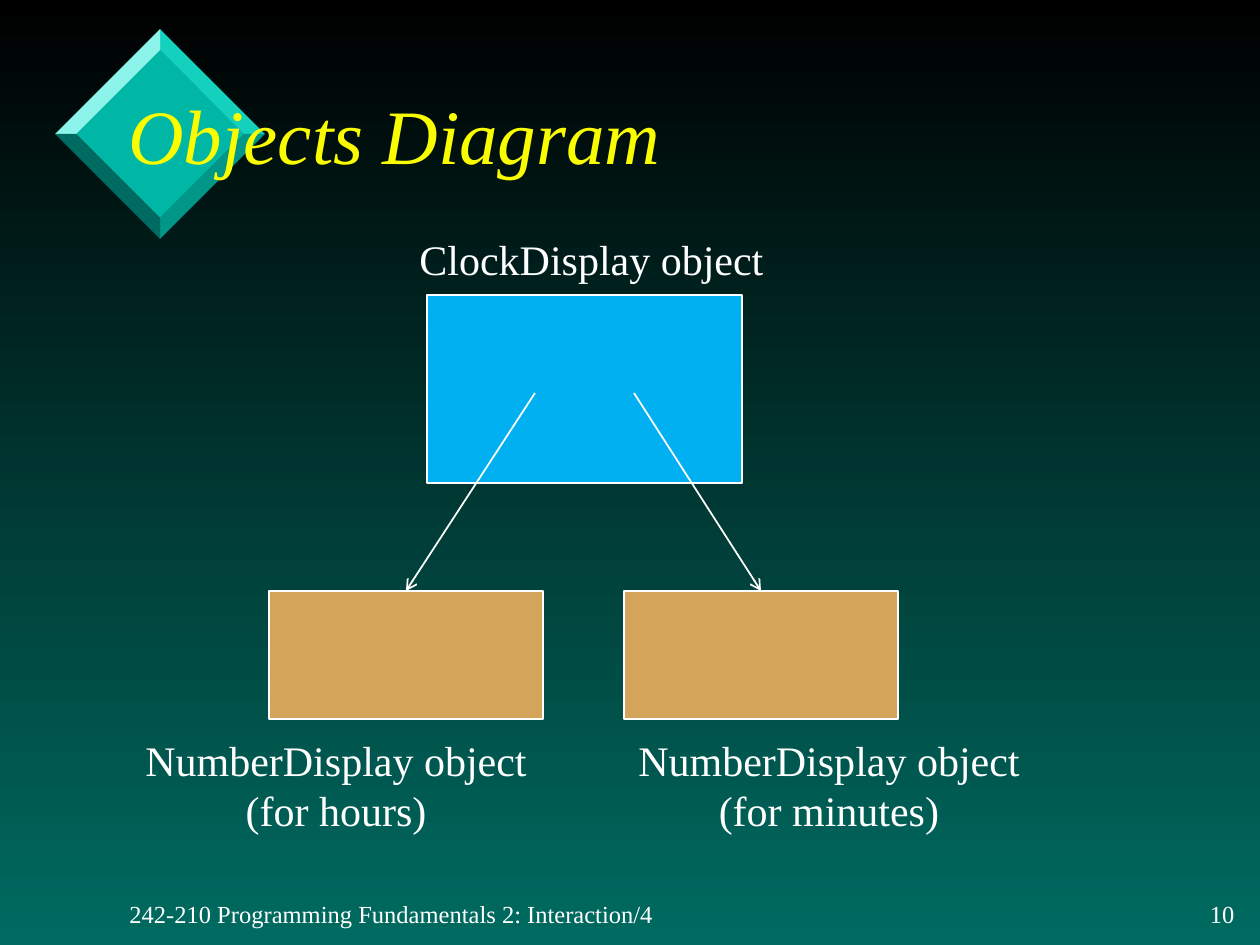
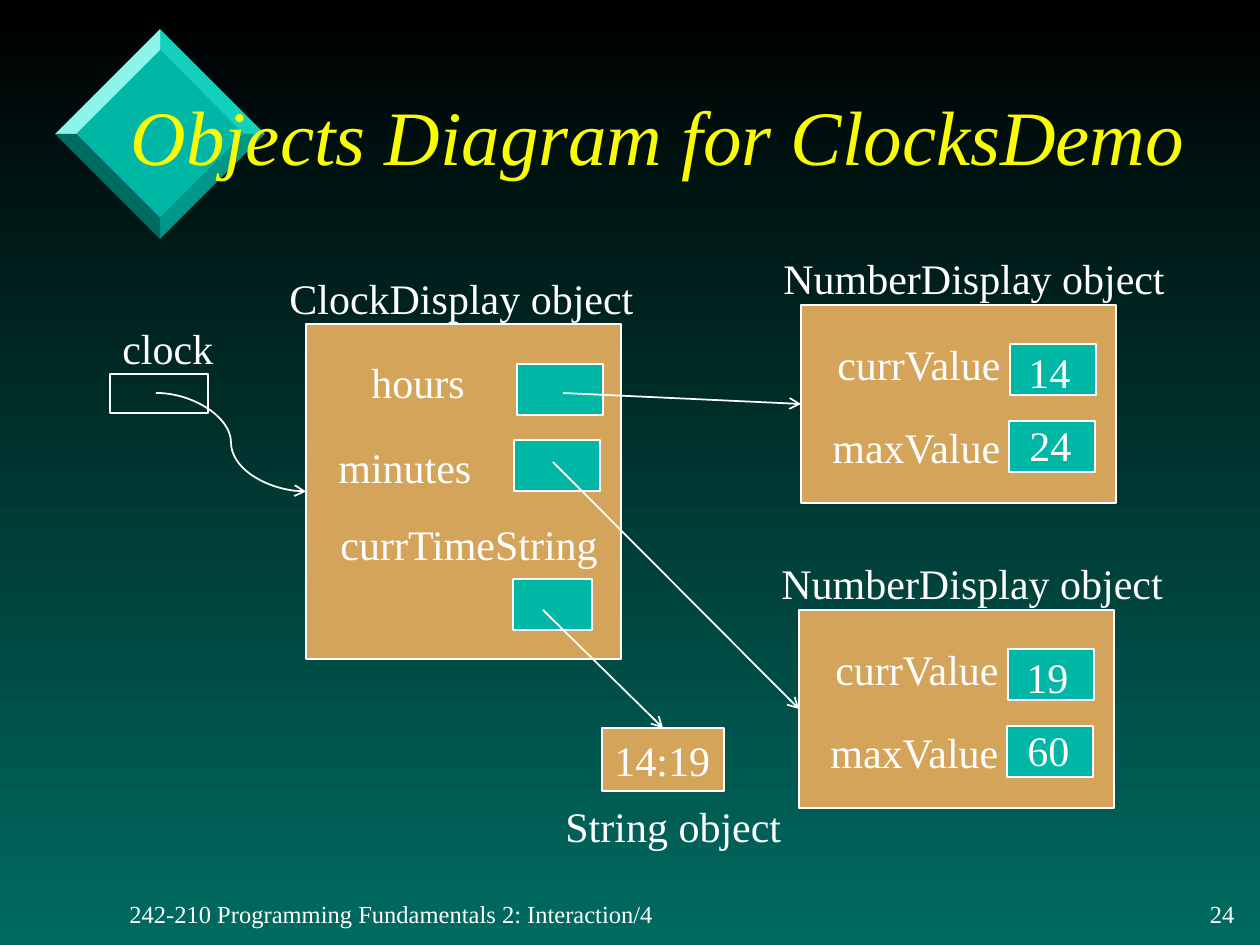
"""Build two object-diagram slides that share a gradient, a diamond emblem and a footer."""
from lxml.etree import SubElement
from pptx import Presentation
from pptx.dml.color import RGBColor
from pptx.enum.shapes import MSO_CONNECTOR as Link, MSO_SHAPE as Preset
from pptx.enum.text import MSO_ANCHOR as Anchor, MSO_AUTO_SIZE as Fit, PP_ALIGN as Align
from pptx.oxml.ns import qn
from pptx.util import Pt

PX = 914400 / 126
FONT = "Times New Roman"
WHITE, YELLOW, BLACK, DEEP = "FFFFFF", "FAFD00", "000000", "006B61"
BLUE, TAN, TEAL = "00B0F0", "D4A45A", "00B7A5"
FOOTER = "242-210 Programming Fundamentals 2: Interaction/4"
LINE_HEIGHT = 63
TOP, LEFT = 0, 1

CENTRE_X, CENTRE_Y, INNER, OUTER = 160, 134, 84, 105
BEVELS = [(1, -1, "14D1BE"), (-1, -1, "8CF4EA"), (1, 1, "009688"), (-1, 1, DEEP)]


def number_display(name, x, y, current, maximum):
    """Return the boxes and labels of one NumberDisplay object placed at x, y."""
    boxes = {
        name: (x, y, 315, 198, TAN),
        name + " current": (x + 209, y + 39, 86, 51, TEAL),
        name + " maximum": (x + 208, y + 116, 86, 51, TEAL),
    }
    labels = [
        (x - 30, y - 59, 410, ["NumberDisplay object"]),
        (x + 24, y + 27, 190, ["currValue"]),
        (x + 19, y + 110, 195, ["maxValue"]),
        (x + 215, y + 35, 68, [current]),
        (x + 216, y + 108, 68, [maximum]),
    ]
    return boxes, labels


hour_boxes, hour_labels = number_display("hour display", 801, 305, "14", "24")
minute_boxes, minute_labels = number_display("minute display", 799, 610, "19", "60")

SLIDES = [
    {
        "title": ("Objects Diagram", 116, 58, 1072),
        "number": "10",
        "boxes": {
            "clock": (427, 295, 315, 188, BLUE),
            "hours": (269, 591, 274, 128, TAN),
            "minutes": (624, 591, 274, 128, TAN),
        },
        "labels": [
            (407, 227, 372, ["ClockDisplay object"]),
            (131, 728, 410, ["NumberDisplay object", "(for hours)"]),
            (624, 728, 410, ["NumberDisplay object", "(for minutes)"]),
        ],
        "arrows": [
            (535, 393, "hours", TOP, Link.STRAIGHT),
            (634, 393, "minutes", TOP, Link.STRAIGHT),
        ],
    },
    {
        "title": ("Objects Diagram for ClocksDemo", 118, 59, 1102),
        "number": "24",
        "boxes": {
            "clock variable": (110, 374, 98, 39, None),
            "clock": (306, 324, 315, 335, TAN),
            "hours": (517, 364, 86, 51, TEAL),
            "minutes": (514, 440, 86, 51, TEAL),
            "time string": (513, 579, 79, 51, TEAL),
            "string": (602, 728, 122, 63, TAN, "14:19"),
            **hour_boxes,
            **minute_boxes,
        },
        "labels": [
            (110, 316, 117, ["clock"]),
            (277, 266, 372, ["ClockDisplay object"]),
            (359, 350, 120, ["hours"]),
            (326, 435, 159, ["minutes"]),
            (328, 512, 295, ["currTimeString"]),
            (553, 794, 243, ["String object"]),
            *hour_labels,
            *minute_labels,
        ],
        "arrows": [
            (156, 393, "clock", LEFT, Link.CURVE),
            (563, 393, "hour display", LEFT, Link.STRAIGHT),
            (553, 462, "minute display", LEFT, Link.STRAIGHT),
            (543, 610, "string", TOP, Link.STRAIGHT),
        ],
    },
]


def emu(*lengths):
    return [round(length * PX) for length in lengths]


def paint(fill, colour):
    fill.solid()
    fill.fore_color.rgb = RGBColor.from_string(colour)


def write(frame, lines, size=24, colour=WHITE, align=Align.LEFT, italic=False):
    for index, line in enumerate(lines):
        paragraph = frame.add_paragraph() if index else frame.paragraphs[0]
        paragraph.alignment = align
        run = paragraph.add_run()
        run.text = line
        run.font.name = FONT
        run.font.size = Pt(size)
        run.font.italic = italic
        run.font.color.rgb = RGBColor.from_string(colour)


def add_text(slide, area, lines, anchor=Anchor.TOP, wrap=False, **style):
    frame = slide.shapes.add_textbox(*emu(*area)).text_frame
    frame.word_wrap = wrap
    frame.auto_size = Fit.NONE if wrap else Fit.SHAPE_TO_FIT_TEXT
    frame.vertical_anchor = anchor
    write(frame, lines, **style)


def add_facet(slide, offsets, colour):
    points = [(CENTRE_X + dx, CENTRE_Y + dy) for dx, dy in offsets]
    builder = slide.shapes.build_freeform(*points[0], scale=PX)
    builder.add_line_segments(points[1:], close=True)
    facet = builder.convert_to_shape()
    facet.shadow.inherit = False
    paint(facet.fill, colour)
    facet.line.fill.background()


def add_emblem(slide):
    add_facet(slide, [(0, -INNER), (-INNER, 0), (0, INNER), (INNER, 0)], TEAL)
    for across, down, colour in BEVELS:
        add_facet(slide, [(0, down * INNER), (0, down * OUTER),
                          (across * OUTER, 0), (across * INNER, 0)], colour)


def add_box(slide, x, y, width, height, colour, text=None):
    box = slide.shapes.add_shape(Preset.RECTANGLE, *emu(x, y, width, height))
    box.shadow.inherit = False
    if colour:
        paint(box.fill, colour)
    else:
        box.fill.background()
    paint(box.line.fill, WHITE)
    box.line.width = Pt(1)
    if text:
        box.text_frame.word_wrap = False
        box.text_frame.vertical_anchor = Anchor.MIDDLE
        write(box.text_frame, [text])
    return box


def add_arrow(slide, x, y, target, side, kind):
    arrow = slide.shapes.add_connector(kind, *emu(x, y, x, y))
    arrow.end_connect(target, side)
    paint(arrow.line.fill, WHITE)
    arrow.line.width = Pt(1)
    SubElement(arrow.get_or_add_ln(), qn("a:tailEnd"), type="arrow")
    SubElement(arrow._element.spPr, qn("a:effectLst"))


def add_frame(slide, title, number):
    add_emblem(slide)
    add_text(slide, (117, 893, 553, 42), [FOOTER], Anchor.MIDDLE, size=14)
    add_text(slide, (1194, 893, 53, 42), [number], Anchor.MIDDLE, size=14, align=Align.RIGHT)
    heading, x, y, width = title
    add_text(slide, (x, y, width, 152), [heading], Anchor.MIDDLE, wrap=True,
             size=44, colour=YELLOW, italic=True)


def add_diagram(slide, boxes, labels, arrows):
    placed = {name: add_box(slide, *box) for name, box in boxes.items()}
    for x, y, width, lines in labels:
        align = Align.CENTER if len(lines) > 1 else Align.LEFT
        height = LINE_HEIGHT + 52 * (len(lines) - 1)
        add_text(slide, (x, y, width, height), lines, align=align)
    for x, y, target, side, kind in arrows:
        add_arrow(slide, x, y, placed[target], side, kind)


def set_background(master):
    backdrop = master.background.fill
    backdrop.gradient()
    backdrop.gradient_angle = 270
    for stop, colour, position in zip(backdrop.gradient_stops, (BLACK, DEEP), (0, 1)):
        stop.color.rgb = RGBColor.from_string(colour)
        stop.position = position


def main():
    deck = Presentation()
    deck.slide_width, deck.slide_height = emu(1260, 945)
    set_background(deck.slide_master)
    for content in SLIDES:
        slide = deck.slides.add_slide(deck.slide_layouts[6])
        add_frame(slide, content["title"], content["number"])
        add_diagram(slide, content["boxes"], content["labels"], content["arrows"])
    deck.save("out.pptx")


if __name__ == "__main__":
    main()
